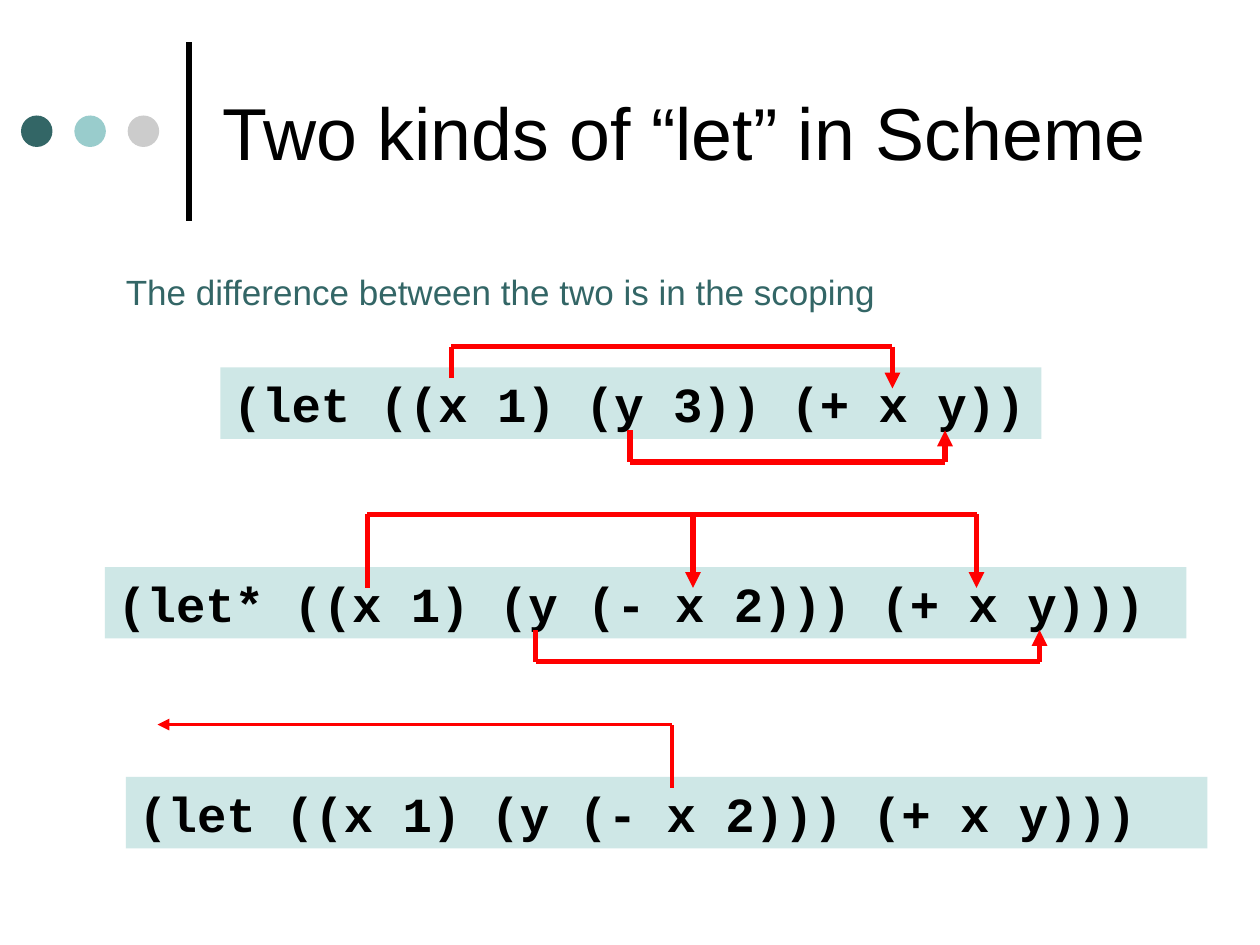
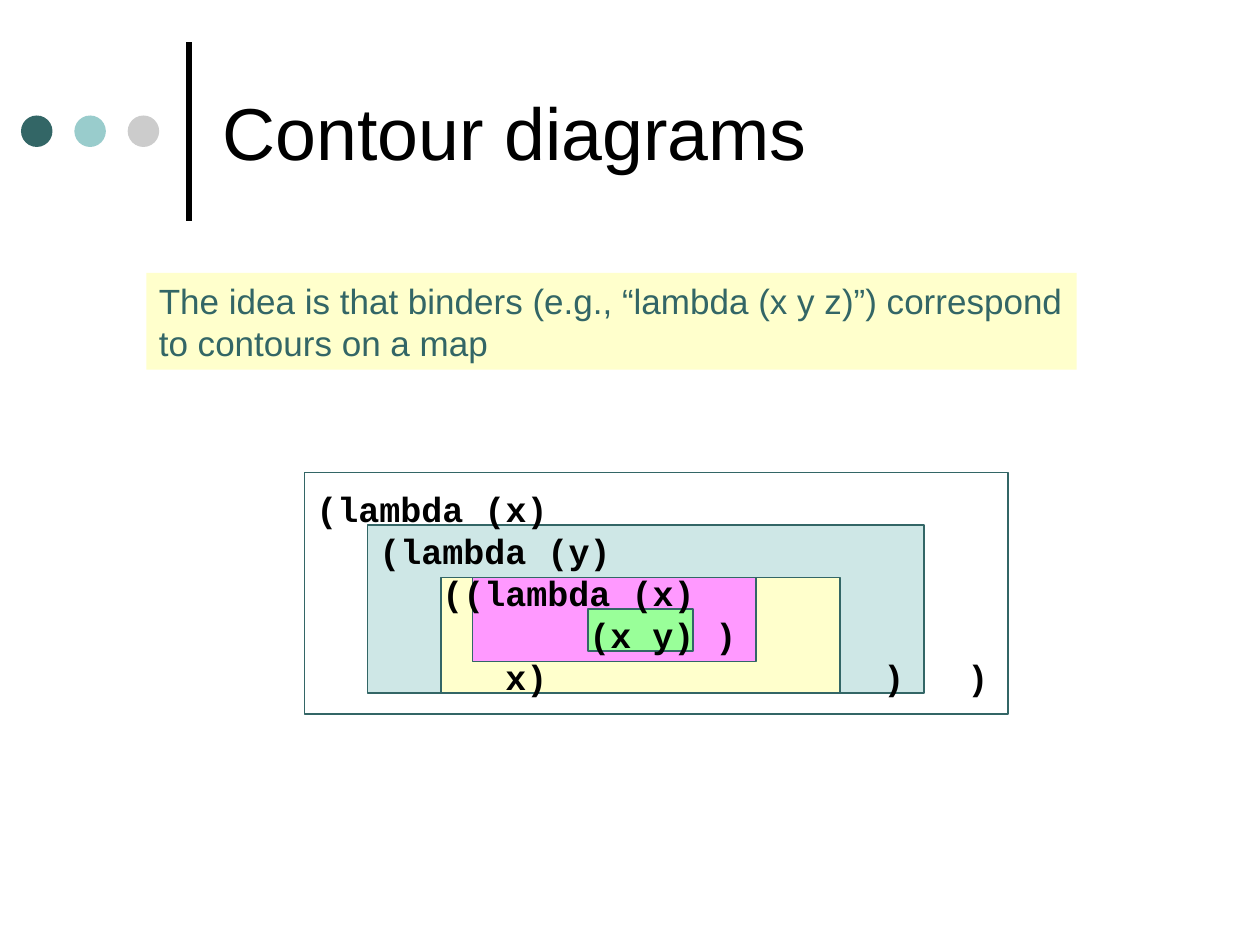
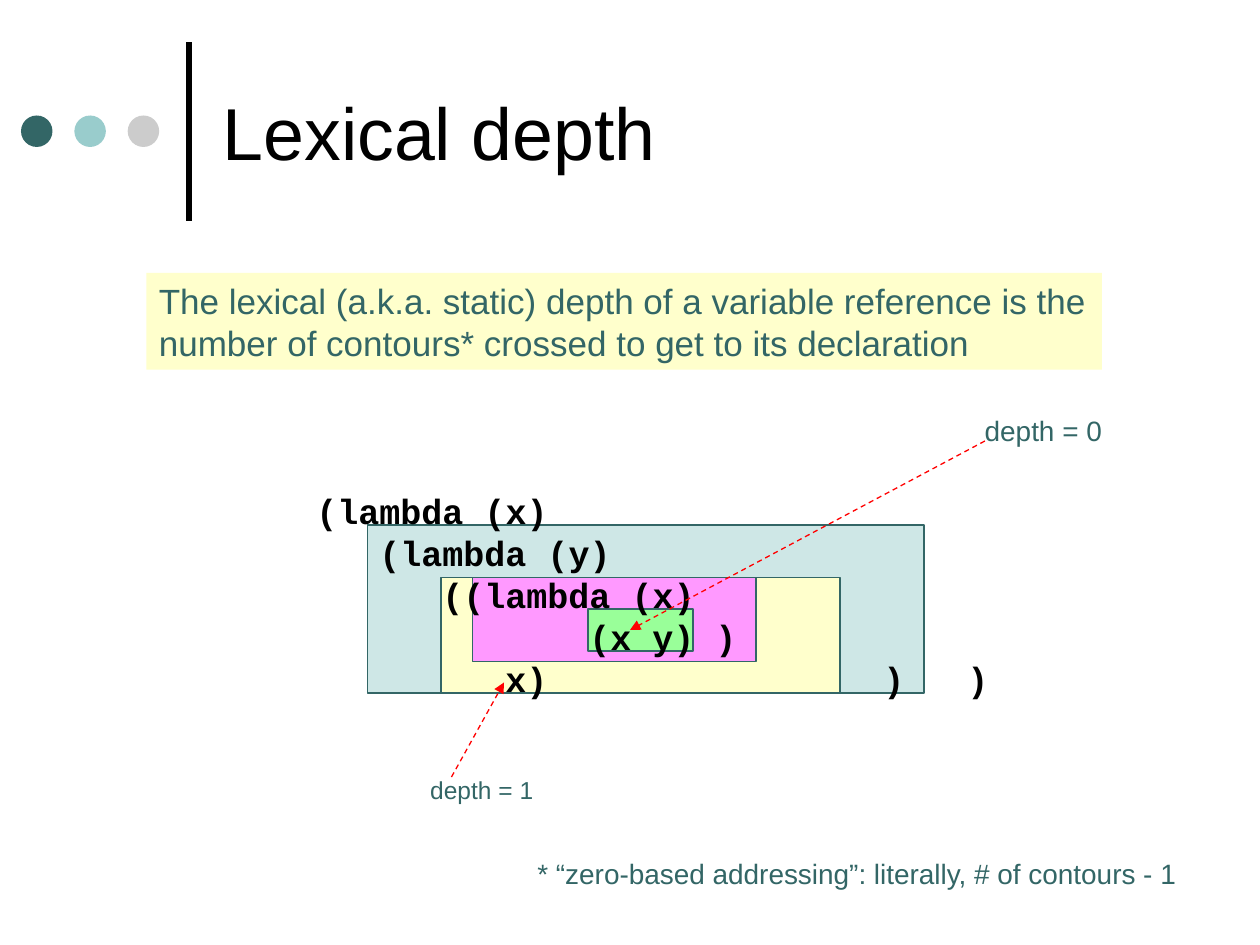
import itertools
from dataclasses import dataclass

import lxml.etree
import pptx
import pptx.dml.color
import pptx.enum.dml
import pptx.enum.shapes
import pptx.enum.text
import pptx.oxml.ns
import pptx.util

RGB = pptx.dml.color.RGBColor.from_string
Pt = pptx.util.Pt
MSO_SHAPE = pptx.enum.shapes.MSO_SHAPE
qn = pptx.oxml.ns.qn


@dataclass(frozen=True)
class Theme:
    black: str = "000000"
    teal: str = "336666"
    aqua: str = "99CCCC"
    silver: str = "CCCCCC"
    pale_teal: str = "CEE7E6"
    cream: str = "FFFFCC"
    pink: str = "FF99FF"
    green: str = "99FF99"
    red: str = "FF0000"
    title_size: int = 42
    code_size: int = 28
    body_size: int = 20
    note_size: int = 16
    label_size: int = 14
    heavy: float = 3
    medium: float = 2.25
    thin: float = 0.75


theme = Theme()
PROSE = {"name": "Arial", "bold": False}
CODE = {"name": "Courier New", "bold": True}

# All lengths below count cells of a grid of 120 columns and 90 rows.
prs = pptx.Presentation()
prs.slide_width, prs.slide_height = pptx.util.Inches(10), pptx.util.Inches(7.5)
CELL = prs.slide_width // 120
CHARACTER = 2  # columns taken by one listing character


def write_text(slide, box, lines, style, size, fill=None):
    """Code wraps inside its box; prose keeps the line breaks given."""
    block = slide.shapes.add_textbox(*(int(v * CELL) for v in box))
    if fill:
        block.fill.solid()
        block.fill.fore_color.rgb = RGB(fill)
    frame = block.text_frame
    frame.word_wrap = style is CODE
    frame.auto_size = pptx.enum.text.MSO_AUTO_SIZE.SHAPE_TO_FIT_TEXT
    frame.text = "\n".join(lines)
    for paragraph in frame.paragraphs:
        font = paragraph.runs[0].font
        for attribute, value in {**style, "size": Pt(size)}.items():
            setattr(font, attribute, value)
        font.color.rgb = RGB(theme.black if style is CODE else theme.teal)
    return frame


def draw_route(slide, points, width, color=theme.red, arrow=True, dashed=False):
    """Join the points by straight lines, with an arrowhead on the last."""
    for start, end in itertools.pairwise(points):
        segment = slide.shapes.add_connector(
            pptx.enum.shapes.MSO_CONNECTOR.STRAIGHT,
            *(int(v * CELL) for v in (*start, *end)))
        segment.line.color.rgb = RGB(color)
        segment.line.width = Pt(width)
        if dashed:
            segment.line.dash_style = pptx.enum.dml.MSO_LINE.DASH
        properties = segment.element.spPr
        lxml.etree.SubElement(properties, qn("a:effectLst"))
    if arrow:
        lxml.etree.SubElement(properties.find(qn("a:ln")), qn("a:tailEnd"), type="triangle")


# Shared heading: rule, three dots and title
slides = []
for heading in ("Two kinds of “let” in Scheme", "Contour diagrams", "Lexical depth"):
    slide = prs.slides.add_slide(prs.slide_layouts[5])
    slides.append(slide)
    draw_route(slide, [(18, 21), (18, 4)], theme.heavy, theme.black, arrow=False)
    for i, color in enumerate((theme.teal, theme.aqua, theme.silver)):
        dot = slide.shapes.add_shape(
            MSO_SHAPE.OVAL, *(int(v * CELL) for v in (2 + 5.08 * i, 11, 3, 3)))
        dot.shadow.inherit = False
        dot.fill.solid()
        dot.fill.fore_color.rgb = RGB(color)
        dot.line.fill.background()

    title = slide.shapes.title
    for side, cells in {"left": 20, "top": 2.5, "width": 92, "height": 20}.items():
        setattr(title, side, int(cells * CELL))
    title.text_frame.text = heading
    title.text_frame.auto_size = pptx.enum.text.MSO_AUTO_SIZE.NONE
    title.text_frame.vertical_anchor = pptx.enum.text.MSO_ANCHOR.MIDDLE
    paragraph = title.text_frame.paragraphs[0]
    paragraph.alignment = pptx.enum.text.PP_ALIGN.LEFT
    title_font = paragraph.runs[0].font
    for attribute, value in {**PROSE, "size": Pt(theme.title_size)}.items():
        setattr(title_font, attribute, value)
    title_font.color.rgb = RGB(theme.black)

let_slide, contour_slide, depth_slide = slides

# Slide 1: scoping of let and let*
write_text(let_slide, (10.8, 25.2, 73.8, 5.3),
           ["The difference between the two is in the scoping"], PROSE, theme.body_size)
expressions = [
    (21, 35, 78.2, "(let ((x 1) (y 3)) (+ x y))"),
    (10, 54, 103, "(let* ((x 1) (y (- x 2))) (+ x y)))"),
    (12, 74, 103, "(let ((x 1) (y (- x 2))) (+ x y)))"),
]
for left, top, width, expression in expressions:
    write_text(let_slide, (left, top, width, 6.8), [expression],
               CODE, theme.code_size, theme.pale_teal)

# Each binding: start column and row, row of the crossbar, end column and row
bindings = [
    (60, 41, 44, 90, 41),
    (43, 36, 33, 85, 37),
    (51, 60, 63, 99, 60),
    (35, 56, 49, 93, 56),
]
for start, start_row, bar_row, end, end_row in bindings:
    draw_route(let_slide, [(start, start_row), (start, bar_row),
                           (end, bar_row), (end, end_row)], theme.heavy)
draw_route(let_slide, [(66, 49), (66, 56)], theme.heavy)
draw_route(let_slide, [(64, 75), (64, 69), (15, 69)], theme.medium)

# Slides 2 and 3: a statement above nested contours
outer_contour = ((29, 45, 67, 23), None)
inner_contours = [
    ((35, 50, 53, 16), theme.pale_teal),
    ((42, 55, 38, 11), theme.cream),
    ((45, 55, 27, 8), theme.pink),
    ((56, 58, 10, 4), theme.green),
]
# Character columns at which the pieces of each line start
listing = [
    {0: "(lambda (x)"},
    {3: "(lambda (y)"},
    {6: "((lambda (x)"},
    {13: "(x y) )"},
    {9: "x)", 27: ")", 31: ")"},
]
diagrams = [
    (contour_slide, 88.6, 45.8, [outer_contour, *inner_contours],
     ["The idea is that binders (e.g., “lambda (x y z)”) correspond",
      "to contours on a map"]),
    (depth_slide, 91, 46, inner_contours,
     ["The lexical (a.k.a. static) depth of a variable reference is the",
      "number of contours* crossed to get to its declaration"]),
]
for slide, statement_width, listing_top, contours, statement in diagrams:
    write_text(slide, (13.95, 26, statement_width, 9.2), statement,
               PROSE, theme.body_size, theme.cream)
    for box, color in contours:
        contour = slide.shapes.add_shape(MSO_SHAPE.RECTANGLE, *(v * CELL for v in box))
        contour.shadow.inherit = False
        contour.line.color.rgb = RGB(theme.teal)
        contour.line.width = Pt(theme.thin)
        if color:
            contour.fill.solid()
            contour.fill.fore_color.rgb = RGB(color)
        else:
            contour.fill.background()

    lines = ["".join(("\t" if column else "") + piece for column, piece in pieces.items())
             for pieces in listing]
    code = write_text(slide, (28.95, listing_top, 67, 21.2), lines, CODE, theme.body_size)
    for paragraph, pieces in zip(code.paragraphs, listing):
        columns = [column for column in pieces if column]
        if columns:
            stops = lxml.etree.SubElement(paragraph._p.get_or_add_pPr(), qn("a:tabLst"))
        for column in columns:
            lxml.etree.SubElement(stops, qn("a:tab"), algn="l",
                                  pos=str(column * CHARACTER * CELL))

# Slide 3: depth of two variable references
draw_route(depth_slide, [(43, 74), (48, 65)], theme.thin, dashed=True)
draw_route(depth_slide, [(93.8, 42), (60, 60)], theme.thin, dashed=True)
notes = [
    ((39.8, 73.2, 12.2, 4.1), "depth = 1", theme.label_size),
    ((50, 81, 63.6, 4.4), "* “zero-based addressing”: literally, # of contours - 1",
     theme.note_size),
    ((92.6, 38.8, 13.6, 4.4), "depth = 0", theme.note_size),
]
for box, note, size in notes:
    write_text(depth_slide, box, [note], PROSE, size)

prs.save("out.pptx")
